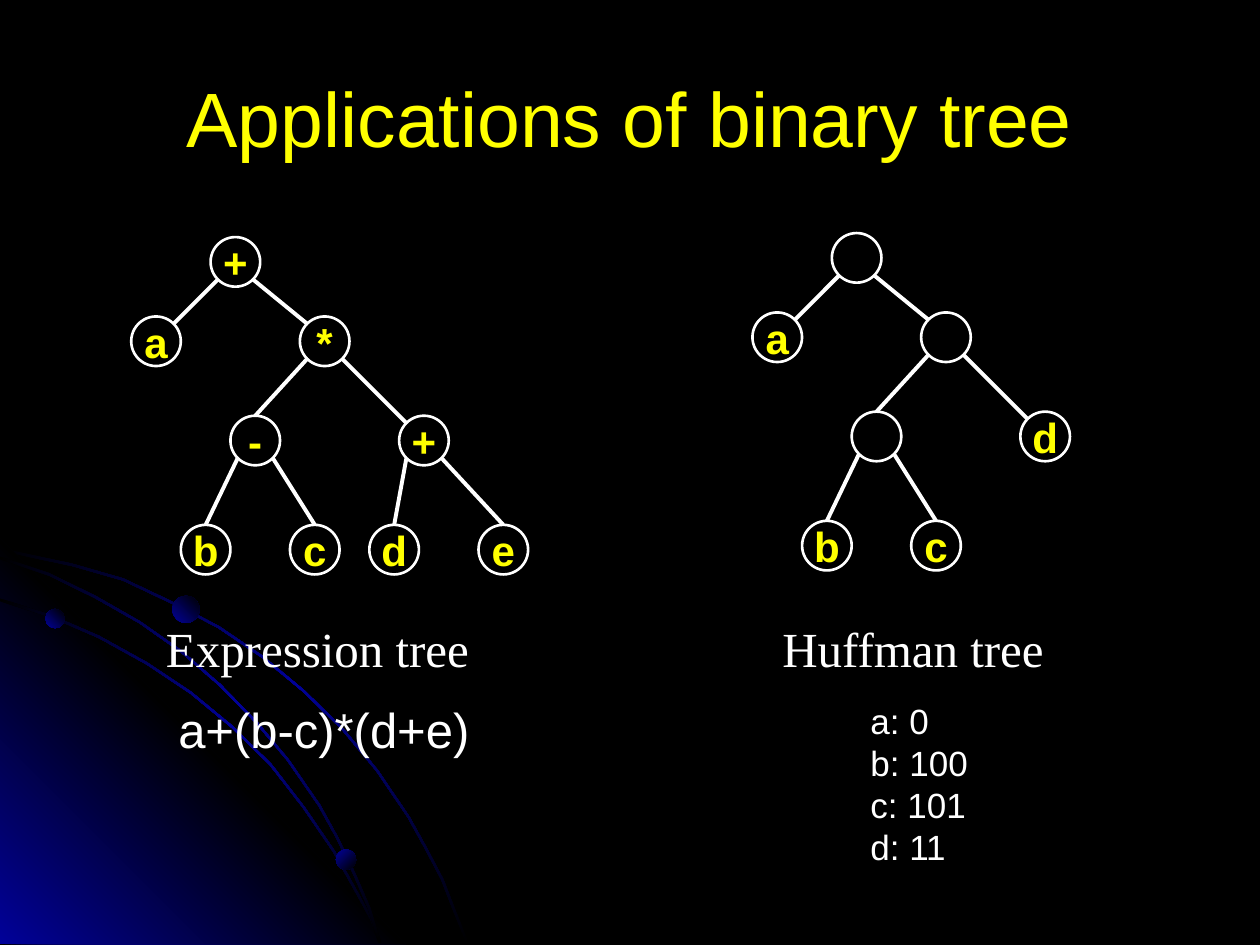
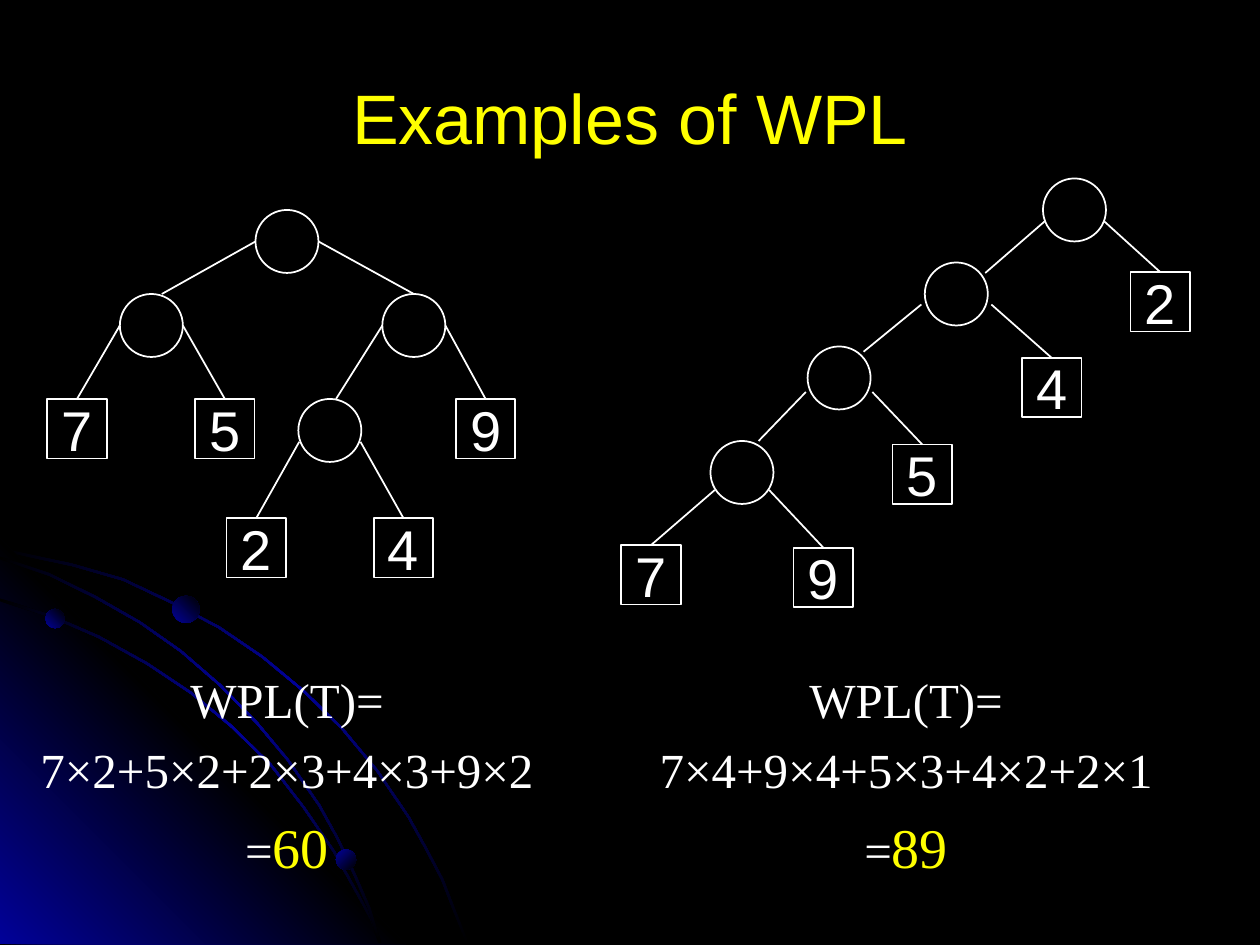
from dataclasses import dataclass
from typing import NamedTuple

from lxml.etree import SubElement
from pptx import Presentation
from pptx.dml.color import RGBColor
from pptx.enum.shapes import MSO_CONNECTOR as Connector, MSO_SHAPE as Preset
from pptx.enum.text import MSO_ANCHOR as Anchor, MSO_AUTO_SIZE as AutoSize, PP_ALIGN as Align
from pptx.oxml.ns import qn
from pptx.util import Pt


@dataclass(frozen=True)
class Theme:
    black: str = "000000"
    blue: str = "010199"
    yellow: str = "FFFF00"
    white: str = "FFFFFF"
    sans: str = "Arial"
    serif: str = "Times New Roman"
    caption_size: int = 28
    result_size: int = 32
    code_size: int = 20


THEME = Theme()


class Box(NamedTuple):
    left: float
    top: float
    width: float
    height: float


class Node(NamedTuple):
    """Centre, parent, edge exit (mirrored for left children) and edge entry."""
    x: float
    y: float
    parent: str = ""
    label: str = ""
    leave: tuple = (0, 0)
    enter: tuple = (0, 0)
    preset: Preset = Preset.OVAL


class TreeStyle(NamedTuple):
    circle: float
    square: float
    outline: float
    edge: float
    text_size: int
    text_color: str
    bold: bool


LETTER_STYLE = TreeStyle(28.35, 28.35, 1.5, 2.25, 24, THEME.yellow, True)
WEIGHT_STYLE = TreeStyle(36, 34, 1, 1, 32, THEME.white, False)

# Outer edges of the background arcs, from the left side down to the bottom
ARCS = [
    [(0, 313), (20, 317.5), (41, 322), (70.5, 330.5), (98, 343.5), (125.5, 358),
     (150.5, 375), (174, 394.5), (196, 416), (216, 440), (234, 466.5),
     (244, 484.5), (253.5, 502.5), (260.5, 520.5), (268, 539)],
    [(0, 342), (29.5, 351.5), (57, 363.5), (84, 378.5), (109.5, 395.5),
     (132.5, 414.5), (155, 436.5), (174, 461), (191.5, 486.5), (206, 512.5),
     (213, 525.5), (218, 539)],
    [(0, 318), (28, 327.5), (54.5, 340.5), (80, 355), (103.5, 371.5), (126, 391),
     (147, 412.5), (165, 434), (183, 460), (193.5, 479), (203, 499),
     (211.5, 518.5), (218, 539)],
]
ARC_THICKNESS = 1.6
CORNER = [(232, 539.5), (0, 539.5), (0, 307.5)]
# Left, top, diameter, gradient angle
BALLS = [(26, 348, 11, 45), (192, 485.5, 11.5, 315), (98.5, 340.5, 15.5, 45)]

# Expression tree: column, row, parent and label on a grid of 5.67 pt
GRID = 5.67
EXPRESSION = {
    "root": (8, 0, "", "+"),
    "a": (0, 8, "root", "a"),
    "product": (17, 8, "root", "*"),
    "difference": (10, 18, "product", "-"),
    "sum": (27, 18, "product", "+"),
    "b": (5, 29, "difference", "b"),
    "c": (16, 29, "difference", "c"),
    "d": (24, 29, "sum", "d"),
    "e": (35, 29, "sum", "e"),
}
HUFFMAN = {
    "root": (8, 0, "", ""),
    "a": (0, 8, "root", "a"),
    "right": (17, 8, "root", ""),
    "inner": (10, 18, "right", ""),
    "d": (27, 18, "right", "d"),
    "b": (5, 29, "inner", "b"),
    "c": (16, 29, "inner", "c"),
}


def leaf(x, y, parent, label):
    return Node(x, y, parent, label, preset=Preset.RECTANGLE)


BALANCED = {
    "root": Node(137, 18, leave=(18, 0)),
    "left": Node(59.5, 66, "root", leave=(18, 0), enter=(6, -18)),
    "right": Node(209.5, 66, "root", leave=(18, 0), enter=(0, -18)),
    "inner": Node(161.5, 126, "right", leave=(17.5, 6.5), enter=(3.5, -18)),
    "7": leaf(17, 125, "left", "7"),
    "5": leaf(101.5, 125, "left", "5"),
    "9": leaf(250.5, 125, "right", "9"),
    "2": leaf(119.5, 193, "inner", "2"),
    "4": leaf(203.5, 193, "inner", "4"),
}
SKEWED = {
    "root": Node(259, 18, leave=(17, 6.5)),
    "second": Node(191.5, 66, "root", leave=(20, 6), enter=(16.5, -12)),
    "third": Node(124.5, 114, "second", leave=(19, 8), enter=(14, -15)),
    "fourth": Node(69, 168, "third", leave=(15.5, 10), enter=(9.5, -18)),
    "7": leaf(17, 226.5, "fourth", "7"),
    "9": leaf(115.5, 228, "fourth", "9"),
    "5": leaf(172, 169, "third", "5"),
    "4": leaf(246, 119.5, "second", "4"),
    "2": leaf(308, 70.5, "root", "2"),
}


def lengths(*values):
    return [Pt(value) for value in values]


def add_run(paragraph, text, size, color, font=THEME.sans, bold=False):
    run = paragraph.add_run()
    run.text = text
    run.font.name, run.font.size, run.font.bold = font, Pt(size), bold
    run.font.color.rgb = RGBColor.from_string(color)


def fill_gradient(shape, colors, angle):
    """Spread the colours evenly; the angle runs counter-clockwise."""
    shape.shadow.inherit = False
    shape.line.fill.background()
    shape.fill.gradient()
    shape.fill.gradient_angle = angle
    stops = shape.element.spPr.find(".//" + qn("a:gsLst"))
    stops.clear()
    for index, color in enumerate(colors):
        position = index * 100000 // (len(colors) - 1)
        stop = SubElement(stops, qn("a:gs"), pos=str(position))
        SubElement(stop, qn("a:srgbClr"), val=color)


def add_outline(slide, points, colors, angle):
    first, *others = [lengths(*point) for point in points]
    builder = slide.shapes.build_freeform(*first)
    builder.add_line_segments(others, close=True)
    shape = builder.convert_to_shape()
    fill_gradient(shape, colors, angle)
    return shape


def arc_outline(outer):
    """Close the arc with an inner edge whose offset turns from down to left."""
    last = len(outer) - 1
    inner = [(x - ARC_THICKNESS * i / last, y + ARC_THICKNESS * (1 - i / last))
             for i, (x, y) in enumerate(outer)]
    return outer + inner[::-1]


def paint_master(presentation, slide):
    """Draw the shared background and hand its shapes over to the master."""
    master = presentation.slide_master
    master.background.fill.solid()
    master.background.fill.fore_color.rgb = RGBColor.from_string(THEME.black)
    glow = (THEME.black, THEME.blue, THEME.black)
    arcs = [add_outline(slide, arc_outline(arc), glow, 315) for arc in ARCS]
    corner = add_outline(slide, CORNER, (THEME.blue, THEME.black, THEME.blue), 45)
    balls = []
    for left, top, diameter, angle in BALLS:
        ball = slide.shapes.add_shape(Preset.OVAL, *lengths(left, top, diameter, diameter))
        fill_gradient(ball, (THEME.blue, THEME.black), angle)
        balls.append(ball)
    for number, shape in enumerate([arcs[0], corner, *arcs[1:], *balls], start=101):
        shape.element.find(".//" + qn("p:cNvPr")).set("id", str(number))
        master.shapes.element.append(shape.element)


def set_title(slide, text, size):
    title = slide.shapes.title
    title.left, title.top, title.width, title.height = lengths(36, 21.6, 648, 90)
    frame = title.text_frame
    frame.vertical_anchor, frame.auto_size = Anchor.MIDDLE, AutoSize.NONE
    frame.paragraphs[0].alignment = Align.CENTER
    add_run(frame.paragraphs[0], text, size, THEME.yellow)


def add_text(slide, box, lines, align=Align.LEFT, wrap=False, spacing=None):
    """Each line is a list of runs: text, size, colour and font."""
    frame = slide.shapes.add_textbox(*lengths(*box)).text_frame
    frame.word_wrap, frame.auto_size = wrap, AutoSize.SHAPE_TO_FIT_TEXT
    for index, runs in enumerate(lines):
        paragraph = frame.add_paragraph() if index else frame.paragraphs[0]
        paragraph.alignment = align
        if spacing:
            paragraph.line_spacing = spacing
        for run in runs:
            add_run(paragraph, *run)


def grid_tree(cells):
    """Steep edges enter a node at its top, the others at its upper corner."""
    radius, corner = 2.5 * GRID, 10
    nodes = {}
    for name, (column, row, parent, label) in cells.items():
        enter = (0, -radius)
        if parent:
            across, down = column - cells[parent][0], row - cells[parent][1]
            if abs(across) >= down:
                enter = (-corner if across > 0 else corner, -corner)
        nodes[name] = Node(column * GRID + radius, row * GRID + radius, parent, label,
                           (corner, corner), enter)
    return nodes


def add_node(slide, left, top, node, style):
    size = style.circle if node.preset == Preset.OVAL else style.square
    shape = slide.shapes.add_shape(node.preset, *lengths(
        left + node.x - size / 2, top + node.y - size / 2, size, size))
    shape.shadow.inherit = False
    shape.fill.background()
    shape.line.color.rgb = RGBColor.from_string(THEME.white)
    shape.line.width = Pt(style.outline)
    if node.label:
        frame = shape.text_frame
        frame.word_wrap, frame.vertical_anchor = False, Anchor.MIDDLE
        frame.paragraphs[0].alignment = Align.CENTER
        add_run(frame.paragraphs[0], node.label, style.text_size, style.text_color,
                bold=style.bold)
    return shape


def draw_tree(slide, left, top, nodes, style):
    shapes = {name: add_node(slide, left, top, node, style) for name, node in nodes.items()}
    for name, node in nodes.items():
        if not node.parent:
            continue
        parent = nodes[node.parent]
        side = 1 if node.x > parent.x else -1
        edge = slide.shapes.add_connector(Connector.STRAIGHT, *lengths(
            left + parent.x + side * parent.leave[0], top + parent.y + parent.leave[1],
            left + node.x + node.enter[0], top + node.y + node.enter[1]))
        if node.preset == Preset.RECTANGLE:
            edge.end_connect(shapes[name], 0)
        edge.line.color.rgb = RGBColor.from_string(THEME.white)
        edge.line.width = Pt(style.edge)
        SubElement(edge.element.spPr, qn("a:effectLst"))


def build_applications(slide):
    set_title(slide, "Applications of binary tree", 44)
    draw_tree(slide, 75, 135.5, grid_tree(EXPRESSION), LETTER_STYLE)
    draw_tree(slide, 430, 133.2, grid_tree(HUFFMAN), LETTER_STYLE)
    # Captions, formula and code table
    for left, width, text in ((87.8, 189.4, "Expression tree"), (440, 165.6, "Huffman tree")):
        add_text(slide, Box(left, 350, width, 41),
                 [[(text, THEME.caption_size, THEME.white, THEME.serif)]])
    add_text(slide, Box(93.6, 396, 182.9, 41),
             [[("a+(b-c)*(d+e)", THEME.caption_size, THEME.white)]], Align.CENTER)
    add_text(slide, Box(490.3, 396, 70.6, 104.4),
             [[(code, THEME.code_size, THEME.white)]
              for code in ("a: 0", "b: 100", "c: 101", "d: 11")])


def build_path_lengths(slide):
    set_title(slide, "Examples of WPL", 40)
    draw_tree(slide, 27, 120, BALANCED, WEIGHT_STYLE)
    draw_tree(slide, 355, 102, SKEWED, WEIGHT_STYLE)
    # Weighted path length under each tree
    for left, formula, result in (
            (12, "WPL(T)= 7×2+5×2+2×3+4×3+9×2=", "60"),
            (365.8, "WPL(T)= 7×4+9×4+5×3+4×2+2×1=", "89")):
        add_text(slide, Box(left, 372.2, 304, 135.4),
                 [[(formula, THEME.caption_size, THEME.white, THEME.serif),
                   (result, THEME.result_size, THEME.yellow, THEME.serif)]],
                 Align.CENTER, wrap=True, spacing=1.2)


def main():
    presentation = Presentation()
    presentation.slide_width, presentation.slide_height = lengths(720, 540)
    title_only = presentation.slide_layouts[5]
    builders = (build_applications, build_path_lengths)
    slides = [presentation.slides.add_slide(title_only) for _ in builders]
    paint_master(presentation, slides[0])
    for build, slide in zip(builders, slides):
        build(slide)
    presentation.save("out.pptx")


if __name__ == "__main__":
    main()
